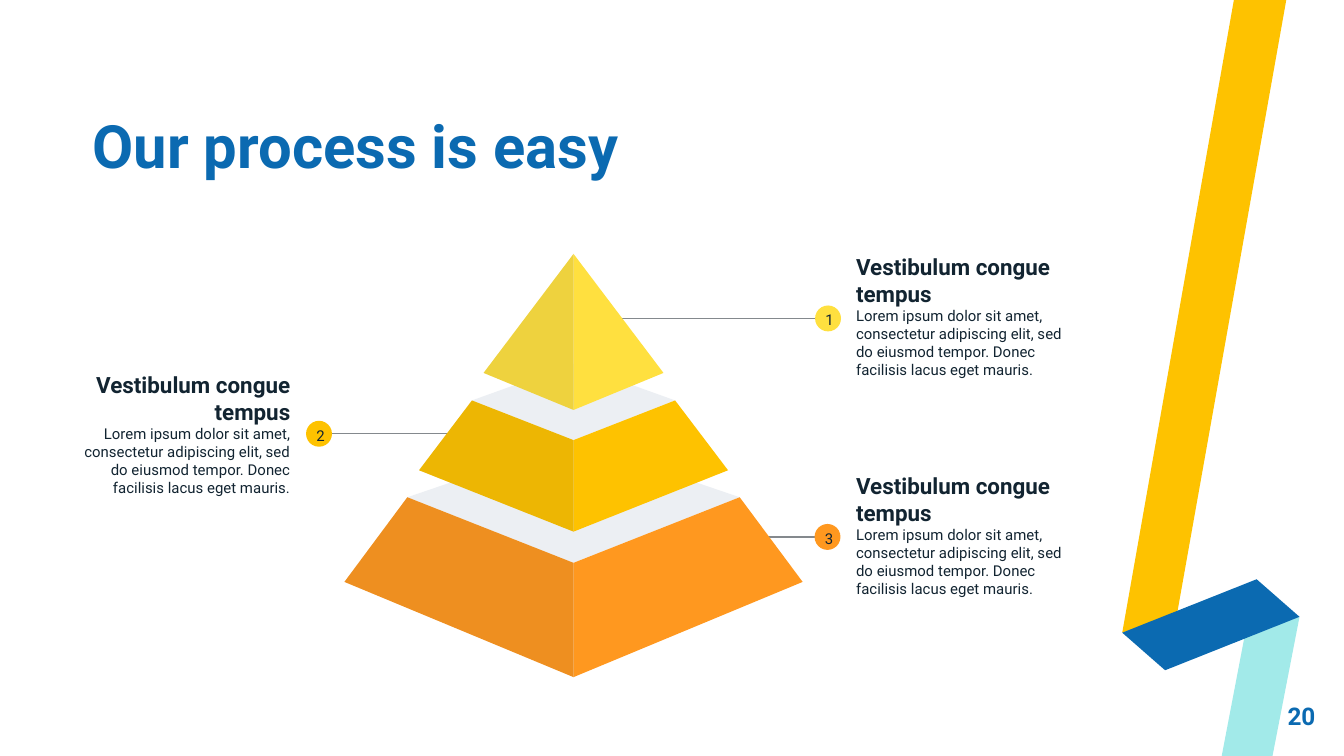
from lxml import etree
from pptx import Presentation
from pptx import util as u
from pptx.dml.color import RGBColor
from pptx.enum import shapes, text
from pptx.oxml.ns import qn

COLORS = {
    "ink": "122431", "blue": "0B6AB1", "aqua": "A2EAE9", "line": "84898D",
    "lid": "ECEFF3", "yellow": "FFE03F", "gold": "FEC200", "orange": "FF981F",
}
FONT = "Roboto"
LEFT, CENTER, RIGHT = text.PP_ALIGN.LEFT, text.PP_ALIGN.CENTER, text.PP_ALIGN.RIGHT
TOP, MIDDLE, BOTTOM = text.MSO_ANCHOR.TOP, text.MSO_ANCHOR.MIDDLE, text.MSO_ANCHOR.BOTTOM

HEADING = "Vestibulum congue tempus"
BODY = ("Lorem ipsum dolor sit amet, consectetur adipiscing elit, sed do "
        "eiusmod tempor. Donec facilisis lacus eget mauris.")

RIBBON = [
    ("gold", [(23.32, 0), (24.31, 0), (22.25, 11.58), (21.21, 11.96)]),
    ("aqua", [(23.09, 14.29), (23.52, 12.04), (24.56, 11.66), (24.05, 14.29)]),
    ("blue", [(21.21, 11.96), (23.75, 10.95), (24.56, 11.66), (22.02, 12.67)]),
]

# Each face lists (distance from the axis, y); the other face mirrors it.
AXIS = 10.84
TIERS = [
    {"color": "orange", "back": 8.33,
     "face": [(3.14, 9.4), (4.33, 11), (0, 12.8), (0, 10.64)]},
    {"color": "gold", "back": 6.88,
     "face": [(1.92, 7.57), (2.92, 8.89), (0, 10.05), (0, 8.32)]},
    {"color": "yellow", "back": None,
     "face": [(0, 4.8), (1.7, 7.05), (0, 7.75)]},
]

STEPS = [
    {"number": 1, "color": "yellow", "y": 6.02, "badge": 15.65,
     "line": (11.66, 15.9), "text": (15.93, 4.27), "align": LEFT},
    {"number": 2, "color": "gold", "y": 8.2, "badge": 6.03,
     "line": (8.51, 5.94), "text": (1.14, 6.5), "align": RIGHT},
    {"number": 3, "color": "orange", "y": 10.15, "badge": 15.64,
     "line": (14.45, 15.88), "text": (15.93, 8.41), "align": LEFT},
]


def rgb(name):
    return RGBColor.from_string(COLORS[name])


def apply(target, **values):
    for name, value in values.items():
        setattr(target, name, value)


class SlideBuilder:
    def __init__(self, deck):
        self.page = deck.slides.add_slide(deck.slide_layouts[5])

    def paint(self, shape, color, alpha=None):
        shape.shadow.inherit = False
        shape.fill.solid()
        shape.fill.fore_color.rgb = rgb(color)
        shape.line.fill.background()
        if alpha is not None:
            tint = shape._element.spPr.find(qn("a:solidFill"))[0]
            etree.SubElement(tint, qn("a:alpha"), val=str(alpha * 1000))

    def polygon(self, points, color, alpha=None):
        corners = [(u.Cm(x), u.Cm(y)) for x, y in points]
        outline = self.page.shapes.build_freeform(*corners[0])
        outline.add_line_segments(corners[1:], close=True)
        self.paint(outline.convert_to_shape(), color, alpha)

    def circle(self, x, y, size, color):
        disc = self.page.shapes.add_shape(
            shapes.MSO_SHAPE.OVAL, u.Cm(x - size / 2), u.Cm(y - size / 2),
            u.Cm(size), u.Cm(size))
        self.paint(disc, color)

    def rule(self, start, end, y):
        line = self.page.shapes.add_connector(
            shapes.MSO_CONNECTOR.STRAIGHT, u.Cm(start), u.Cm(y), u.Cm(end), u.Cm(y))
        line.line.color.rgb = rgb("line")
        line.line.width = u.Pt(0.75)
        etree.SubElement(line._element.spPr, qn("a:effectLst"))

    def fill_text(self, box, paragraphs, align=LEFT, anchor=MIDDLE, inset=0.25, color="ink"):
        """Fill a box from (text, size, bold, paragraph format) rows."""
        frame = box.text_frame
        margin = u.Cm(inset)
        apply(frame, word_wrap=True, auto_size=text.MSO_AUTO_SIZE.NONE,
              vertical_anchor=anchor, margin_left=margin, margin_right=margin,
              margin_top=margin, margin_bottom=margin)
        for index, (words, size, bold, layout) in enumerate(paragraphs):
            para = frame.add_paragraph() if index else frame.paragraphs[0]
            apply(para, alignment=align, **layout)
            span = para.add_run()
            span.text = words
            apply(span.font, name=FONT, size=u.Pt(size), bold=bold)
            span.font.color.rgb = rgb(color)

    def title(self, words, left, top, width, height):
        box = self.page.shapes.title
        apply(box, left=u.Cm(left), top=u.Cm(top), width=u.Cm(width), height=u.Cm(height))
        self.fill_text(box, [(words, 32, True, {"line_spacing": 0.8})],
                       anchor=BOTTOM, inset=0, color="blue")

    def label(self, left, top, width, height, paragraphs, **style):
        box = self.page.shapes.add_textbox(
            u.Cm(left), u.Cm(top), u.Cm(width), u.Cm(height))
        self.fill_text(box, paragraphs, **style)

    def step(self, step):
        after = {"space_after": u.Pt(16)}
        x, y = step["badge"], step["y"]
        self.rule(*step["line"], y)
        self.label(*step["text"], 4.6, 3.4,
                   [(HEADING, 12, True, {}), (BODY, 8, False, after)],
                   align=step["align"])
        self.circle(x, y, 0.49, step["color"])
        self.label(x - 0.3, y - 0.39, 0.61, 0.76,
                   [(str(step["number"]), 8, False, after)],
                   align=CENTER, anchor=TOP)

    def tier(self, tier):
        face, color = tier["face"], tier["color"]
        left, right = ([(AXIS + side * x, y) for x, y in face] for side in (-1, 1))
        if tier["back"]:
            self.polygon([left[0], left[-1], right[0], (AXIS, tier["back"])], "lid")
        self.polygon(left, color)
        self.polygon(right, color)
        self.polygon(left, "ink", alpha=7)


def main():
    deck = Presentation()
    apply(deck, slide_width=u.Cm(25.4), slide_height=u.Cm(14.29))
    slide = SlideBuilder(deck)
    for color, points in RIBBON:
        slide.polygon(points, color)
    slide.title("Our process is easy", 1.75, 2.31, 14.66, 1.09)
    slide.label(23.34, 12.98, 1.52, 1.09, [("20", 13, True, {})],
                align=RIGHT, inset=0, color="blue")
    for step in STEPS:
        slide.step(step)
    for tier in TIERS:
        slide.tier(tier)
    deck.save("out.pptx")


if __name__ == "__main__":
    main()
